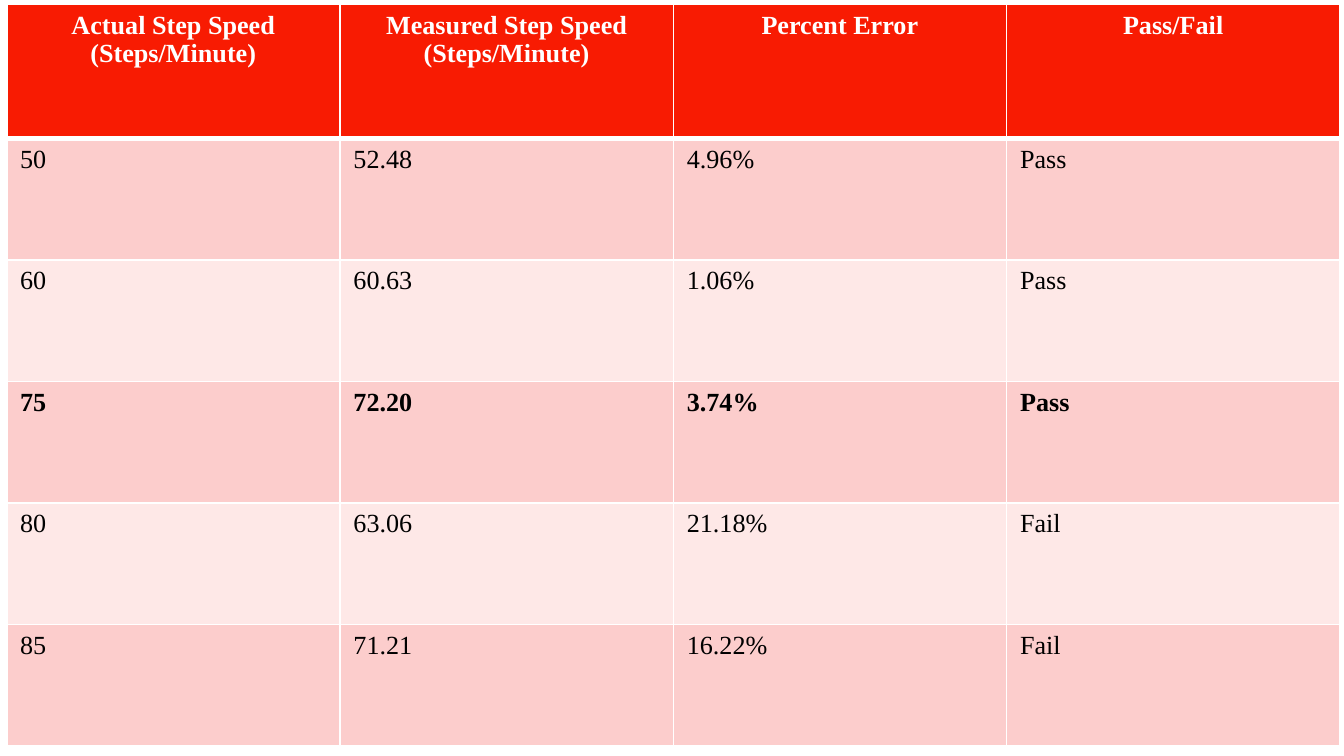
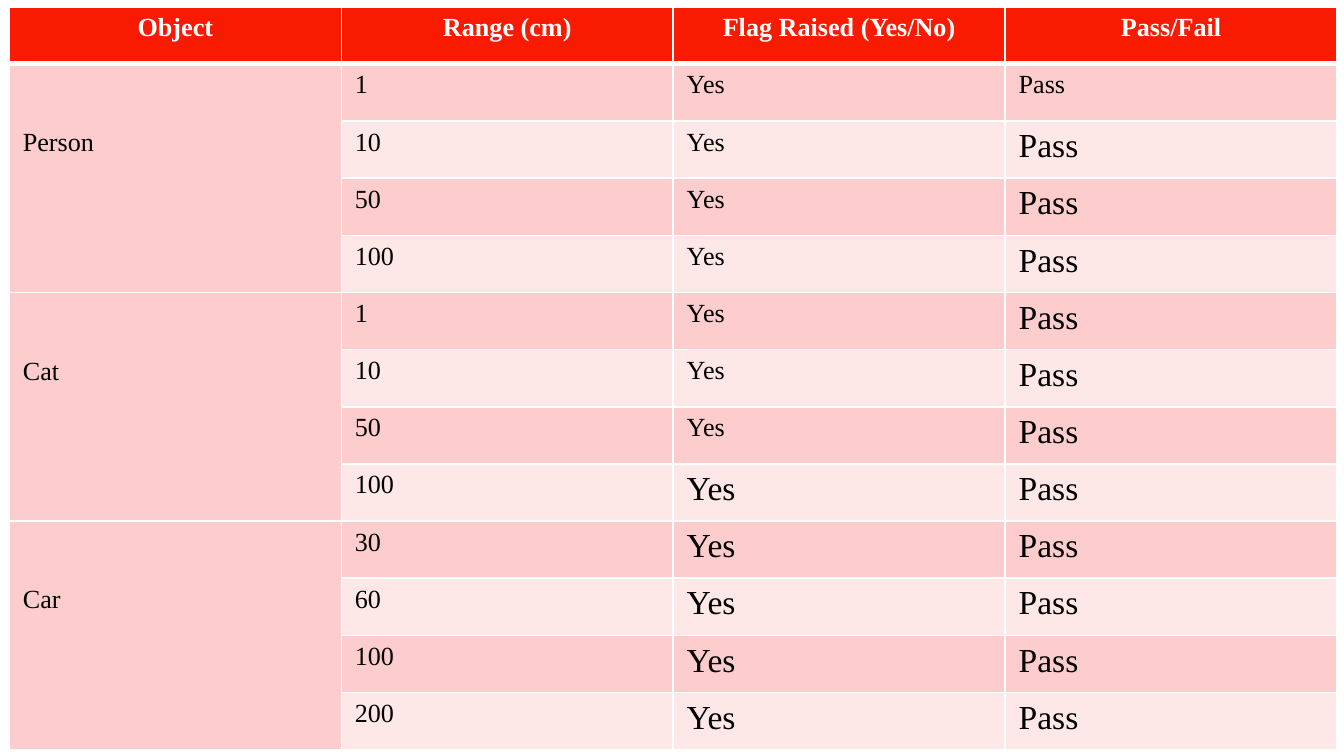
from dataclasses import dataclass, field

from lxml import etree
from pptx import Presentation
from pptx.dml.color import RGBColor
from pptx.enum.text import PP_ALIGN
from pptx.oxml.ns import qn
from pptx.util import Inches, Pt

CENTER, LEFT = PP_ALIGN.CENTER, PP_ALIGN.LEFT
FONT = "Times New Roman"
COLORS = {
    "header": "F81B02",
    "band_dark": "FCCDCC",
    "band_light": "FEE8E7",
    "line": "FFFFFF",
    "header_text": "FFFFFF",
    "body_text": "000000",
}
TEXT_SIZE, LARGE_SIZE = 14, 18
THIN_LINE, HEADER_LINE = 1, 3
BLANK_LAYOUT = 6
GROUP_SIZE = 4
GROUP_TOP_MARGIN = 0.48


@dataclass
class ResultTable:
    left: float
    top: float
    width: float
    height: float
    header_height: float
    headers: list[str]
    rows: list[list[str]]
    bold_rows: set[int] = field(default_factory=set)
    # Column index -> first row set in the large size
    large_from: dict[int, int] = field(default_factory=dict)
    group_labels: list[str] = field(default_factory=list)


STEP_SPEED = ResultTable(
    0.05, 0.03, 9.92, 5.52, 1.0,
    ["Actual Step Speed (Steps/Minute)", "Measured Step Speed (Steps/Minute)",
     "Percent Error", "Pass/Fail"],
    [
        ["50", "52.48", "4.96%", "Pass"],
        ["60", "60.63", "1.06%", "Pass"],
        ["75", "72.20", "3.74%", "Pass"],
        ["80", "63.06", "21.18%", "Fail"],
        ["85", "71.21", "16.22%", "Fail"],
    ],
    bold_rows={3},
)

NEAR_RANGES = ["1", "10", "50", "100"]
CAR_RANGES = ["30", "60", "100", "200"]
OBJECT_DETECTION = ResultTable(
    0.07, 0.05, 9.88, 5.53, 5.53 / 13,
    ["Object", "Range (cm)", "Flag Raised (Yes/No)", "Pass/Fail"],
    [["", distance, "Yes", "Pass"] for distance in NEAR_RANGES * 2 + CAR_RANGES],
    large_from={2: 8, 3: 2},
    group_labels=["Person", "Cat", "Car"],
)


def set_borders(cell, top: float, bottom: float) -> None:
    properties = cell._tc.get_or_add_tcPr()
    widths = {"a:lnL": THIN_LINE, "a:lnR": THIN_LINE, "a:lnT": top, "a:lnB": bottom}
    for tag, width in widths.items():
        line = etree.SubElement(properties, qn(tag), w=str(Pt(width)))
        fill = etree.SubElement(line, qn("a:solidFill"))
        etree.SubElement(fill, qn("a:srgbClr"), val=COLORS["line"])


def style_cell(cell, row: int) -> None:
    """Give a cell its borders and the fill of its band."""
    set_borders(cell,
                top=HEADER_LINE if row == 1 else THIN_LINE,
                bottom=HEADER_LINE if row == 0 else THIN_LINE)
    band = "header" if row == 0 else "band_dark" if row % 2 else "band_light"
    cell.fill.solid()
    cell.fill.fore_color.rgb = RGBColor.from_string(COLORS[band])


def write_cell(cell, text: str, size: int, bold: bool, is_header: bool) -> None:
    paragraph = cell.text_frame.paragraphs[0]
    paragraph.alignment = CENTER if is_header else LEFT
    run = paragraph.add_run()
    run.text = text
    font = run.font
    font.name = FONT
    font.size = Pt(size)
    font.bold = bold
    color = COLORS["header_text" if is_header else "body_text"]
    font.color.rgb = RGBColor.from_string(color)


def add_result_slide(presentation, result: ResultTable) -> None:
    slide = presentation.slides.add_slide(presentation.slide_layouts[BLANK_LAYOUT])
    lines = [result.headers] + result.rows
    table = slide.shapes.add_table(
        len(lines), len(result.headers), Inches(result.left), Inches(result.top),
        Inches(result.width), Inches(result.height)).table

    for column in table.columns:
        column.width = Inches(result.width / len(result.headers))
    body_height = (result.height - result.header_height) / len(result.rows)
    for index, table_row in enumerate(table.rows):
        table_row.height = Inches(body_height if index else result.header_height)

    for row, texts in enumerate(lines):
        for column, text in enumerate(texts):
            cell = table.cell(row, column)
            style_cell(cell, row)
            if text:
                is_large = row >= result.large_from.get(column, len(lines))
                write_cell(cell, text, LARGE_SIZE if is_large else TEXT_SIZE,
                           row == 0 or row in result.bold_rows, row == 0)

    for index, label in enumerate(result.group_labels):
        first_row = 1 + index * GROUP_SIZE
        cell = table.cell(first_row, 0)
        cell.merge(table.cell(first_row + GROUP_SIZE - 1, 0))
        cell.margin_top = Inches(GROUP_TOP_MARGIN)
        write_cell(cell, label, TEXT_SIZE, False, False)


def main() -> None:
    presentation = Presentation()
    presentation.slide_width = Inches(10)
    presentation.slide_height = Inches(10 * 9 / 16)
    for result in (STEP_SPEED, OBJECT_DETECTION):
        add_result_slide(presentation, result)
    presentation.save("out.pptx")


if __name__ == "__main__":
    main()
